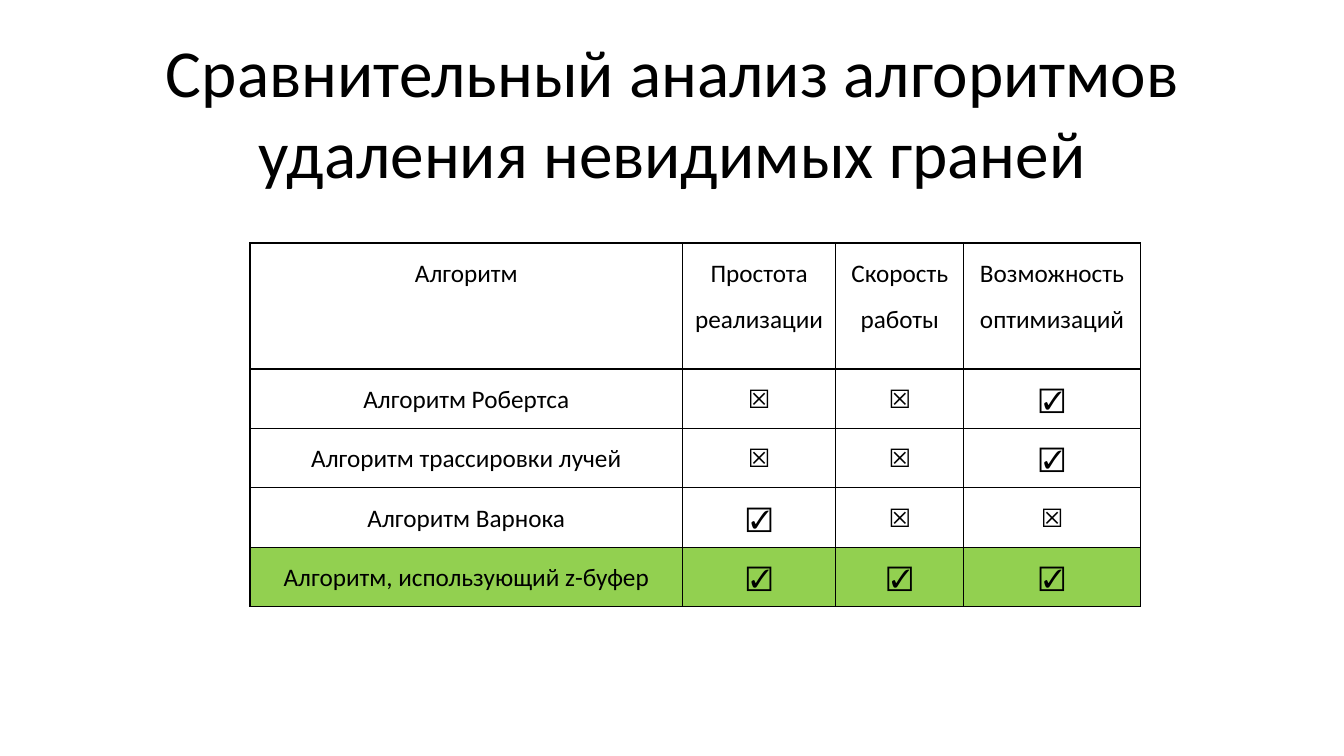
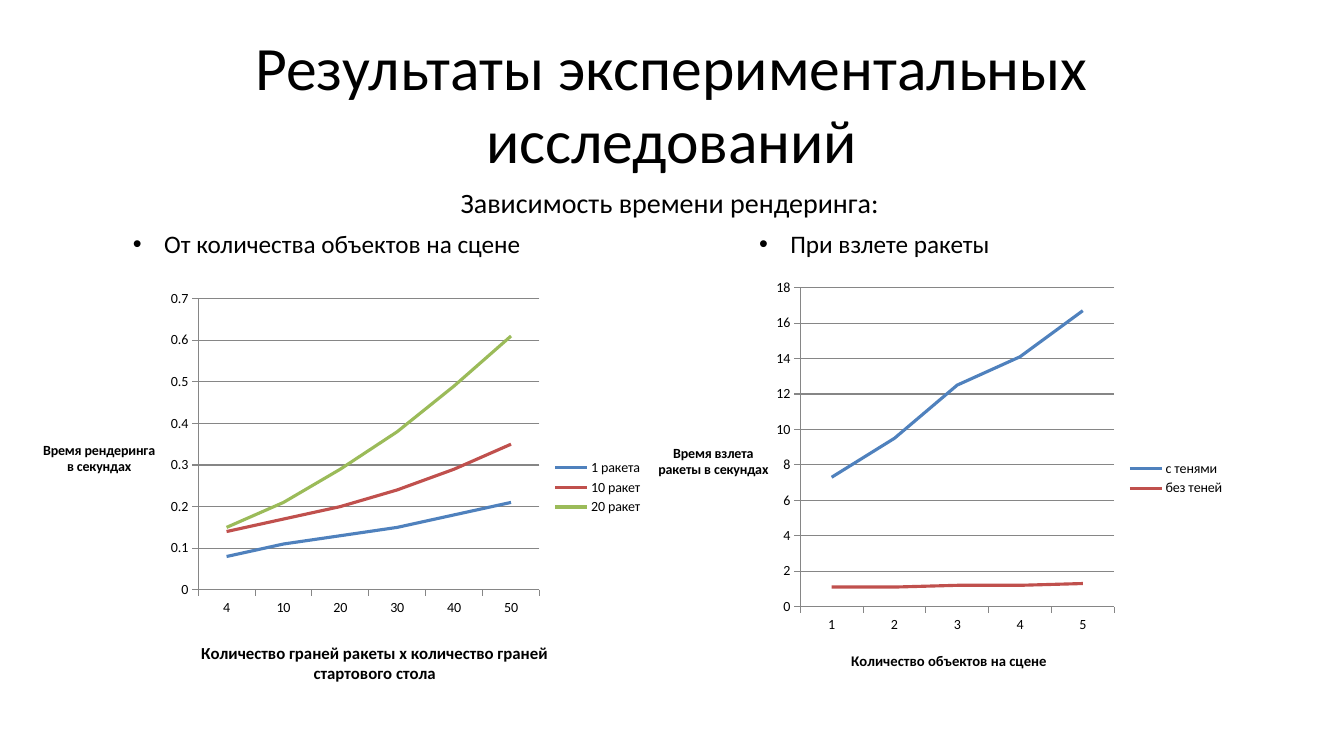
from lxml import etree
from pptx import Presentation, util as u
from pptx.chart.data import CategoryChartData
from pptx.dml.color import RGBColor
from pptx.enum import chart as charts, text as texts
from pptx.oxml import parse_xml
from pptx.oxml.ns import qn

FONT = "Calibri"
BLACK, GRID, GREEN = "000000", "868686", "92D050"
SERIES_COLORS = ["4F81BD", "C0504D", "9BBB59"]
CENTER = texts.PP_ALIGN.CENTER

YES, NO = "☑", "☒"
TABLE_TITLE = ["Сравнительный анализ алгоритмов удаления невидимых граней"]
TABLE_ROWS = [
    ("Алгоритм", "Простота реализации", "Скорость работы", "Возможность оптимизаций"),
    ("Алгоритм Робертса", NO, NO, YES),
    ("Алгоритм трассировки лучей", NO, NO, YES),
    ("Алгоритм Варнока", YES, NO, NO),
    ("Алгоритм, использующий z-буфер", YES, YES, YES),
]
COLUMN_WIDTHS = [4.29, 1.52, 1.27, 1.75]
HEADER_HEIGHT, ROW_HEIGHT = 1.25, 0.59

RESULTS_TITLE = ["Результаты экспериментальных", "исследований"]
SUBTITLE = "Зависимость времени рендеринга:"
BULLETS = [
    ("От количества объектов на сцене", (1.22, 2.22, 4.09, 0.4)),
    ("При взлете ракеты", (7.43, 2.22, 2.52, 0.4)),
]
# Plot and title places are fractions of the chart's width and height.
CHARTS = [
    {
        "box": (0.21, 2.8, 6.27, 4.07),
        "plot": (0.28, 0.04, 0.54, 0.71),
        "categories": ["4", "10", "20", "30", "40", "50"],
        "series": [
            ("1 ракета", [0.08, 0.11, 0.13, 0.15, 0.18, 0.21]),
            ("10 ракет", [0.14, 0.17, 0.2, 0.24, 0.29, 0.35]),
            ("20 ракет", [0.15, 0.21, 0.29, 0.38, 0.49, 0.61]),
        ],
        "category_title": (["Количество граней ракеты x количество граней",
                            "стартового стола"], 12, (0.28, 0.87)),
        "value_title": (["Время рендеринга", "в секундах"], 10, (0.03, 0.38)),
        "scale": (0.7, 0.1),
    },
    {
        "box": (6.26, 2.69, 5.99, 4.11),
        "plot": (0.28, 0.04, 0.52, 0.77),
        "categories": ["1", "2", "3", "4", "5"],
        "series": [
            ("с тенями", [7.3, 9.5, 12.5, 14.1, 16.7]),
            ("без теней", [1.1, 1.1, 1.2, 1.2, 1.3]),
        ],
        "category_title": (["Количество объектов на сцене"], 10.5, (0.36, 0.91)),
        "value_title": (["Время взлета", "ракеты в секундах"], 10, (0.04, 0.41)),
        "scale": (18, 2),
    },
]


def color(hex_text):
    """Turn a hex string into a colour."""
    return RGBColor.from_string(hex_text)


def inches(values):
    """Turn numbers into lengths."""
    return [u.Inches(value) for value in values]


def style_font(font, size, bold=False):
    """Set the shared typeface and colour."""
    font.name, font.size, font.bold = FONT, u.Pt(size), bold
    font.color.rgb = color(BLACK)


def add_run(paragraph, content, size, bold=False):
    """Append one styled run."""
    run = paragraph.add_run()
    run.text = content
    style_font(run.font, size, bold)


def add_text(slide, box, lines, size, wrap=False, align=None):
    """Add a text box of one paragraph and return that paragraph."""
    frame = slide.shapes.add_textbox(*inches(box)).text_frame
    frame.word_wrap = wrap
    frame.vertical_anchor = texts.MSO_ANCHOR.MIDDLE if wrap else texts.MSO_ANCHOR.TOP
    paragraph = frame.paragraphs[0]
    paragraph.alignment = align
    for index, line in enumerate(lines):
        if index:
            paragraph.add_line_break()
        add_run(paragraph, line, size)
    return paragraph


def add_title(slide, box, lines, size):
    """Add a centred slide title."""
    add_text(slide, box, lines, size, wrap=True, align=CENTER)


def add_bullet(paragraph):
    """Give a paragraph a hanging bullet."""
    properties = paragraph._p.get_or_add_pPr()
    properties.set("marL", str(u.Inches(0.31)))
    properties.set("indent", str(-u.Inches(0.31)))
    etree.SubElement(properties, qn("a:buFont")).set("typeface", "Arial")
    etree.SubElement(properties, qn("a:buChar")).set("char", "•")


def add_borders(cell):
    """Draw a thin black line on each side of a cell."""
    properties = cell._tc.get_or_add_tcPr()
    for index, side in enumerate(("lnL", "lnR", "lnT", "lnB")):
        line = etree.Element(qn(f"a:{side}"), w=str(u.Pt(1)))
        fill = etree.SubElement(line, qn("a:solidFill"))
        etree.SubElement(fill, qn("a:srgbClr")).set("val", BLACK)
        properties.insert(index, line)


def add_comparison(slide, left, top):
    """Add the table of algorithms with its last row highlighted."""
    heights = [HEADER_HEIGHT] + [ROW_HEIGHT] * (len(TABLE_ROWS) - 1)
    box = inches((left, top, sum(COLUMN_WIDTHS), sum(heights)))
    table = slide.shapes.add_table(len(heights), len(COLUMN_WIDTHS), *box).table
    for column, width in zip(table.columns, COLUMN_WIDTHS):
        column.width = u.Inches(width)
    for row, height, values in zip(table.rows, heights, TABLE_ROWS):
        row.height = u.Inches(height)
        for cell, value in zip(row.cells, values):
            cell.margin_left = cell.margin_right = u.Inches(0.07)
            cell.margin_top = cell.margin_bottom = 0
            if values is TABLE_ROWS[-1]:
                cell.fill.solid()
                cell.fill.fore_color.rgb = color(GREEN)
            else:
                cell.fill.background()
            add_borders(cell)
            paragraph = cell.text_frame.paragraphs[0]
            paragraph.alignment, paragraph.line_spacing = CENTER, 1.5
            add_run(paragraph, value, 18)


def manual_layout(x, y, width=None, height=None):
    """Build a layout element; with a size it places the inner plot area."""
    values = [("xMode", "edge"), ("yMode", "edge"), ("x", x), ("y", y)]
    if width:
        values = [("layoutTarget", "inner")] + values + [("w", width), ("h", height)]
    layout = parse_xml('<c:layout xmlns:c="http://schemas.openxmlformats.org/'
                       'drawingml/2006/chart"><c:manualLayout/></c:layout>')
    for name, value in values:
        etree.SubElement(layout[0], qn(f"c:{name}")).set("val", str(value))
    return layout


def replace_layout(parent, layout, index):
    """Put a layout into a chart element in place of the present one."""
    for old in parent.findall(qn("c:layout")):
        parent.remove(old)
    parent.insert(index, layout)


def style_axis(axis, title):
    """Set ticks, line, labels and the placed horizontal title of an axis."""
    lines, size, place = title
    axis.major_tick_mark = charts.XL_TICK_MARK.OUTSIDE
    axis.minor_tick_mark = charts.XL_TICK_MARK.NONE
    axis.format.line.color.rgb = color(GRID)
    style_font(axis.tick_labels.font, 10)
    frame = axis.axis_title.text_frame
    for index, line in enumerate(lines):
        paragraph = frame.add_paragraph() if index else frame.paragraphs[0]
        add_run(paragraph, line, size, bold=True)
    frame._txBody.find(qn("a:bodyPr")).set("rot", "0")
    frame._txBody.find(qn("a:bodyPr")).set("vert", "horz")
    replace_layout(axis.axis_title._element, manual_layout(*place), 1)


def add_line_chart(slide, content):
    """Add a line chart with a legend on the right."""
    data = CategoryChartData()
    data.categories = content["categories"]
    for name, values in content["series"]:
        data.add_series(name, values)
    chart = slide.shapes.add_chart(
        charts.XL_CHART_TYPE.LINE, *inches(content["box"]), data).chart
    style_font(chart.font, 10)
    chart.has_title = False
    chart.has_legend = True
    chart.legend.position = charts.XL_LEGEND_POSITION.RIGHT
    chart.legend.include_in_layout = False
    chart.plots[0].vary_by_categories = False
    for series, hex_text in zip(chart.plots[0].series, SERIES_COLORS):
        series.smooth = False
        series.marker.style = charts.XL_MARKER_STYLE.NONE
        series.format.line.color.rgb = color(hex_text)
        series.format.line.width = u.Pt(2.25)
    style_axis(chart.category_axis, content["category_title"])
    values = chart.value_axis
    style_axis(values, content["value_title"])
    values.minimum_scale = 0
    values.maximum_scale, values.major_unit = content["scale"]
    values.has_major_gridlines = True
    values.major_gridlines.format.line.color.rgb = color(GRID)
    plot_area = chart._chartSpace.chart.plotArea
    replace_layout(plot_area, manual_layout(*content["plot"]), 0)


def build():
    """Build both slides and save them."""
    presentation = Presentation()
    presentation.slide_width, presentation.slide_height = inches((13.33, 7.5))
    blank = presentation.slide_layouts[6]

    slide = presentation.slides.add_slide(blank)
    add_title(slide, (1.38, 0.48, 10.58, 1.25), TABLE_TITLE, 48)
    add_comparison(slide, 2.48, 2.41)

    slide = presentation.slides.add_slide(blank)
    add_title(slide, (2.23, 0.39, 8.87, 1.25), RESULTS_TITLE, 44)
    add_text(slide, (4.47, 1.79, 4.39, 0.44), [SUBTITLE], 20)
    for content, box in BULLETS:
        add_bullet(add_text(slide, box, [content], 18))
    for content in CHARTS:
        add_line_chart(slide, content)

    presentation.save("out.pptx")


build()
